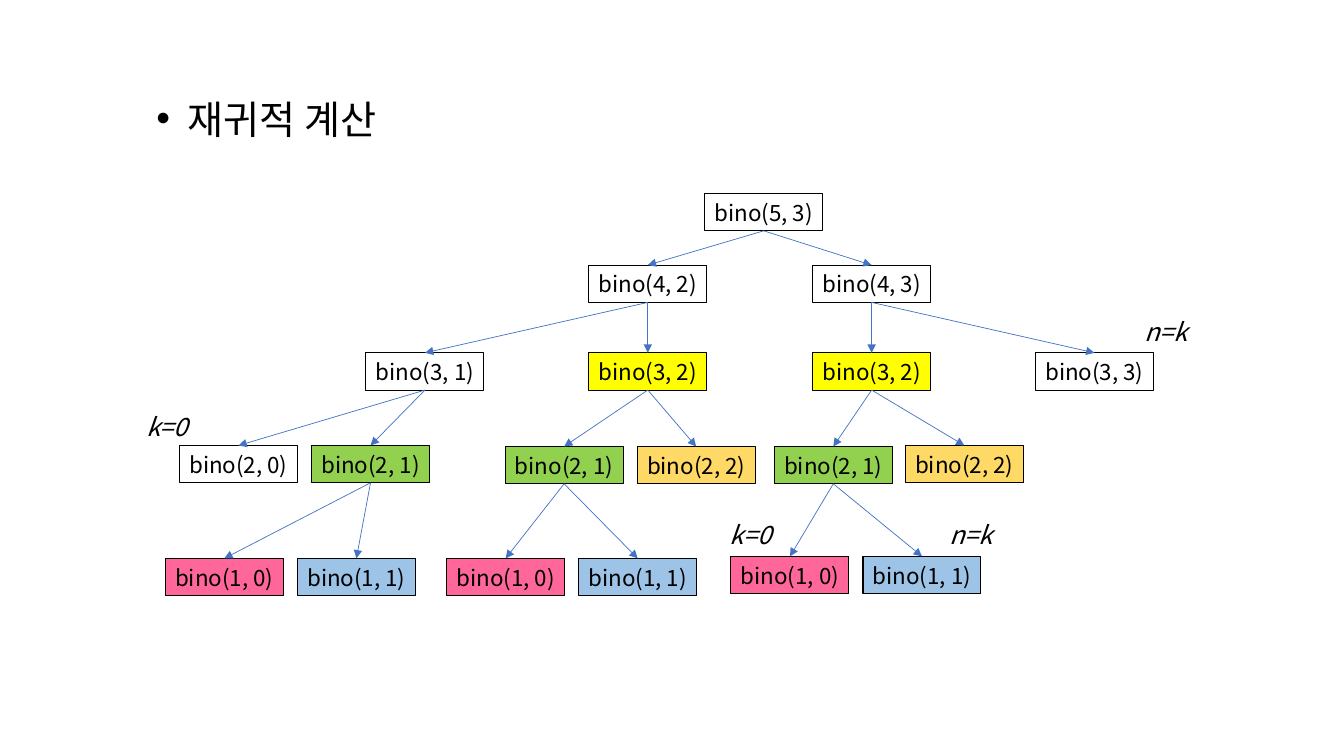
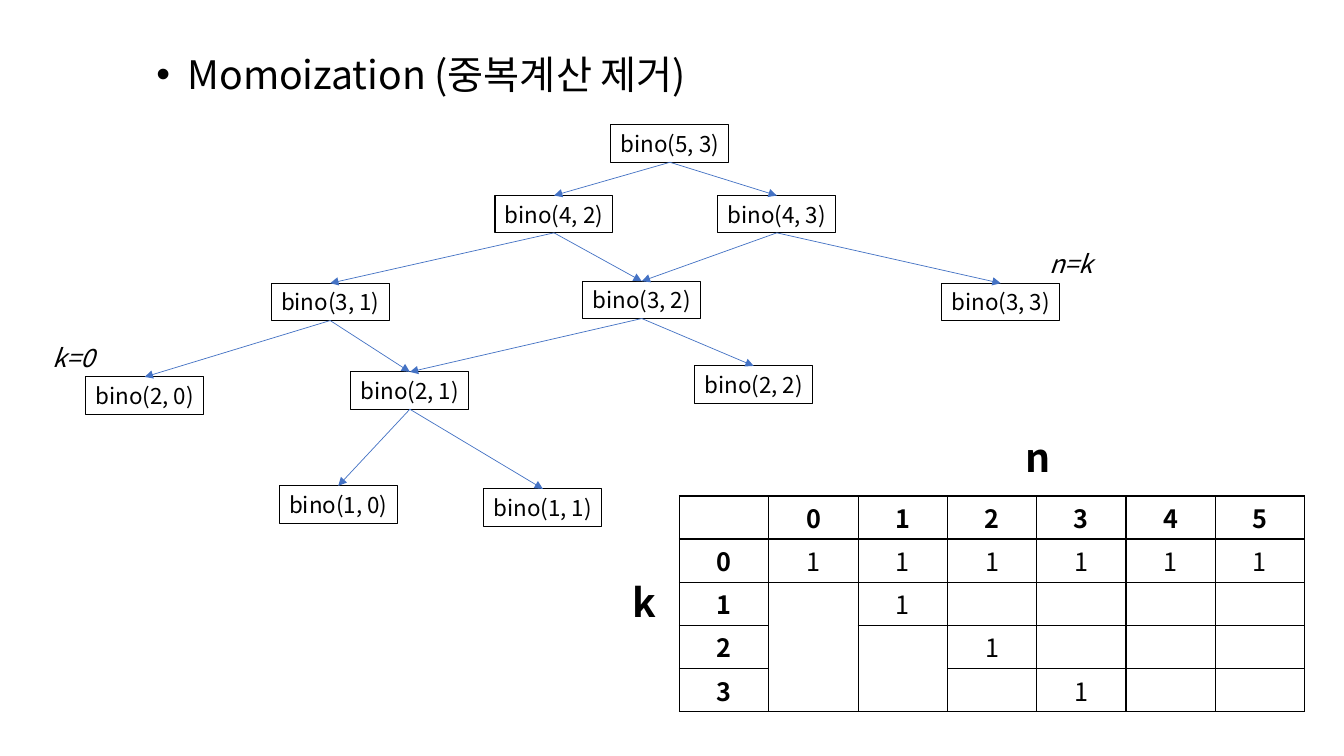
from lxml.etree import SubElement
from pptx import Presentation
from pptx.dml.color import RGBColor
from pptx.enum.shapes import MSO_CONNECTOR as CONN, MSO_SHAPE as SHAPE
from pptx.enum.text import MSO_ANCHOR as ANCHOR, MSO_AUTO_SIZE as FIT, PP_ALIGN as ALIGN
from pptx.oxml.ns import qn
from pptx.util import Inches, Pt

FONT = "Noto Sans CJK KR"
COLORS = {"ink": "000000", "arrow": "4472C4", "yellow": "FFFF00", "green": "92D050",
          "gold": "FFD966", "pink": "FF6699", "sky": "9DC3E6"}
REPEATED = {"3, 2": "yellow", "2, 1": "green", "2, 2": "gold", "1, 0": "pink", "1, 1": "sky"}
NODE_W, NODE_H = 1.17, 0.37
CELL_W, CELL_H = 6.2 / 7, 2.14 / 5

CALL_TREE = [
    (6.99, 1.92, "5, 3", []),
    (5.84, 2.63, "4, 2", [0]), (8.06, 2.63, "4, 3", [0]),
    (3.63, 3.5, "3, 1", [1]), (5.84, 3.5, "3, 2", [1]),
    (8.06, 3.5, "3, 2", [2]), (10.27, 3.5, "3, 3", [2]),
    (1.78, 4.42, "2, 0", [3]), (3.09, 4.42, "2, 1", [3]),
    (5.01, 4.43, "2, 1", [4]), (6.32, 4.43, "2, 2", [4]),
    (7.68, 4.43, "2, 1", [5]), (8.98, 4.42, "2, 2", [5]),
    (1.64, 5.54, "1, 0", [8]), (2.95, 5.54, "1, 1", [8]),
    (4.43, 5.54, "1, 0", [9]), (5.74, 5.54, "1, 1", [9]),
    (7.25, 5.52, "1, 0", [11]), (8.56, 5.52, "1, 1", [11]),
]
MEMO_TREE = [
    (6.06, 1.24, "5, 3", []),
    (4.91, 1.94, "4, 2", [0]), (7.12, 1.94, "4, 3", [0]),
    (2.69, 2.81, "3, 1", [1]), (5.78, 2.79, "3, 2", [1, 2]), (9.34, 2.81, "3, 3", [2]),
    (0.85, 3.74, "2, 0", [3]), (3.48, 3.69, "2, 1", [3, 4]), (6.89, 3.63, "2, 2", [4]),
    (2.77, 4.82, "1, 0", [7]), (4.8, 4.85, "1, 1", [7]),
]


def rgb(name):
    """Return the named colour."""
    return RGBColor.from_string(COLORS[name])


def write(tf, text, size, align=ALIGN.LEFT, bold=False, italic=False):
    """Set one paragraph of text and format its run."""
    tf.text = text
    p = tf.paragraphs[0]
    p.alignment = align
    for r in p.runs:
        f = r.font
        f.name, f.size, f.bold, f.italic = FONT, Pt(size), bold, italic
        f.color.rgb = rgb("ink")
        SubElement(r._r.get_or_add_rPr(), qn("a:ea"), typeface=FONT)
    return p


def fix_frame(tf, wrap=False):
    """Keep the frame's size and centre its text vertically."""
    tf.auto_size, tf.word_wrap, tf.vertical_anchor = FIT.NONE, wrap, ANCHOR.MIDDLE


def add_heading(s, text, top, width):
    """Turn the title placeholder into a bulleted heading."""
    sp = s.shapes.title
    sp.left, sp.top, sp.width, sp.height = map(Inches, (1.45, top, width, 0.57))
    fix_frame(sp.text_frame, True)
    pPr = write(sp.text_frame, text, 28)._p.get_or_add_pPr()
    pPr.set("marL", str(Inches(0.31)))
    pPr.set("indent", str(-Inches(0.31)))
    SubElement(pPr, qn("a:buFont"), typeface="Arial")
    SubElement(pPr, qn("a:buChar"), char="•")


def add_label(shapes, text, left, top, size=18, width=0.65, height=0.4, **style):
    """Add a short free label."""
    sp = shapes.add_textbox(*map(Inches, (left, top, width, height)))
    write(sp.text_frame, text, size, **style)
    fix_frame(sp.text_frame)


def add_node(shapes, left, top, args, fill=None):
    """Add the box of one recursive call."""
    sp = shapes.add_shape(SHAPE.RECTANGLE, *map(Inches, (left, top, NODE_W, NODE_H)))
    sp.shadow.inherit = False
    if fill:
        sp.fill.solid()
        sp.fill.fore_color.rgb = rgb(fill)
    else:
        sp.fill.background()
    sp.line.color.rgb, sp.line.width = rgb("ink"), Pt(0.75)
    write(sp.text_frame, f"bino({args})", 16, ALIGN.CENTER)
    fix_frame(sp.text_frame)
    return sp


def add_arrow(shapes, parent, child):
    """Connect the bottom of the parent to the top of the child."""
    c = shapes.add_connector(
        CONN.STRAIGHT, parent.left + parent.width // 2, parent.top + parent.height,
        child.left + child.width // 2, child.top)
    c.begin_connect(parent, 2)
    c.end_connect(child, 0)
    c.line.color.rgb, c.line.width = rgb("arrow"), Pt(0.5)
    SubElement(c.line._get_or_add_ln(), qn("a:tailEnd"), type="triangle")
    SubElement(c._element.spPr, qn("a:effectLst"))


def add_tree(shapes, tree, fills):
    """Draw the calls of a tree and the arrows between them."""
    nodes = []
    for left, top, args, parents in tree:
        nodes.append(add_node(shapes, left, top, args, fills.get(args)))
        for i in parents:
            add_arrow(shapes, nodes[i], nodes[-1])


def style_cell(cell):
    """Clear the cell's fill and rule all four sides."""
    cell.vertical_anchor = ANCHOR.MIDDLE
    cell.margin_top = cell.margin_bottom = Inches(0.02)
    tcPr = cell._tc.get_or_add_tcPr()
    for side in ("lnL", "lnR", "lnT", "lnB"):
        ln = SubElement(tcPr, qn(f"a:{side}"), w=str(Pt(1)))
        SubElement(SubElement(ln, qn("a:solidFill")), qn("a:srgbClr"), val=COLORS["ink"])
    cell.fill.background()


def memo_value(row, col):
    """Return the text of a cell: a header index or a base case."""
    if row == 0 or col == 0:
        return str(row + col - 1) if row + col else ""
    return "1" if row == 1 or row == col else ""


def add_memo_table(s):
    """Add the table of stored values by k and n."""
    rows, cols = 5, 7
    tbl = s.shapes.add_table(rows, cols, *map(
        Inches, (6.74, 4.92, CELL_W * cols, CELL_H * rows))).table
    tbl.first_row = tbl.horz_banding = False
    for line in tbl.columns:
        line.width = Inches(CELL_W)
    for line in tbl.rows:
        line.height = Inches(CELL_H)
    for row in range(rows):
        for col in range(cols):
            cell = tbl.cell(row, col)
            style_cell(cell)
            text = memo_value(row, col) if row != col or row else ""
            if text:
                write(cell.text_frame, text, 18, ALIGN.CENTER, bold=row == 0 or col == 0)
    for col in (1, 2):
        tbl.cell(col + 1, col).merge(tbl.cell(rows - 1, col))


def build_recursion(prs):
    """Build the slide of the plain recursive calls."""
    s = prs.slides.add_slide(prs.slide_layouts[5])
    add_heading(s, "재귀적 계산", 0.89, 2.62)
    add_tree(s.shapes, CALL_TREE, REPEATED)
    for text, left, top in (("n=k", 11.25, 3.09), ("k=0", 7.14, 5.1),
                            ("n=k", 9.32, 5.1), ("k=0", 1.35, 4.03)):
        add_label(s.shapes, text, left, top, italic=True)


def build_memoization(prs):
    """Build the slide of the shared calls and their table."""
    s = prs.slides.add_slide(prs.slide_layouts[5])
    add_heading(s, "Momoization (중복계산 제거)", 0.45, 5.74)
    group = s.shapes.add_group_shape().shapes
    add_tree(group, MEMO_TREE, {})
    add_label(group, "n=k", 10.31, 2.41, italic=True)
    add_label(group, "k=0", 0.42, 3.35, italic=True)
    add_memo_table(s)
    for text, left, top in (("n", 10.07, 4.25), ("k", 6.18, 5.69)):
        add_label(s.shapes, text, left, top, 28, 0.43, 0.57, bold=True)


def main():
    """Build and save the presentation."""
    prs = Presentation()
    prs.slide_width, prs.slide_height = Inches(13.33), Inches(7.5)
    build_recursion(prs)
    build_memoization(prs)
    prs.save("out.pptx")


if __name__ == "__main__":
    main()
